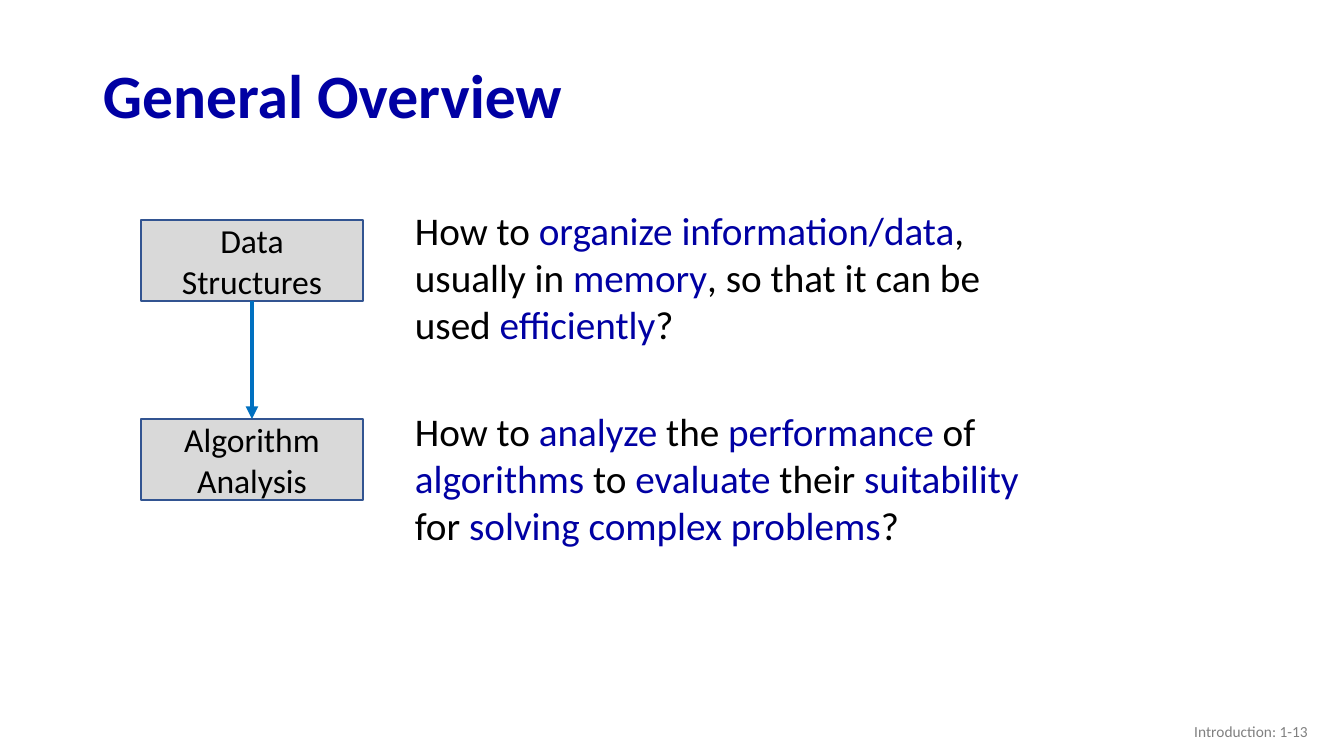
from dataclasses import dataclass

from lxml.etree import SubElement
from pptx import Presentation
from pptx.dml.color import RGBColor
from pptx.enum.shapes import MSO_CONNECTOR as Connector, MSO_SHAPE as Preset
from pptx.enum.text import MSO_ANCHOR as Anchor, MSO_AUTO_SIZE as AutoSize, PP_ALIGN as Align
from pptx.oxml.ns import qn
from pptx.shapes.autoshape import Shape
from pptx.slide import Slide
from pptx.util import Emu, Pt

PAGE_WIDTH, PAGE_HEIGHT = 1344, 756
SCALE = 12192000 / PAGE_WIDTH
FONT = "Calibri"
NAVY, BLACK, GREY = "0000A3", "000000", "808080"
BOX_FILL, BOX_LINE, ARROW_BLUE = "D9D9D9", "325491", "0070C0"


@dataclass(frozen=True)
class Area:
    left: int
    top: int
    width: int
    height: int


@dataclass(frozen=True)
class Topic:
    name: str
    box: Area
    question: Area
    spans: tuple[str, ...]


TOPICS = [
    Topic("Data Structures", Area(141, 220, 222, 81), Area(405, 201, 668, 152),
          ("How to ", "organize information/data", ", usually in ", "memory",
           ", so that it can be used ", "efficiently", "?")),
    Topic("Algorithm Analysis", Area(141, 419, 222, 81), Area(405, 402, 637, 152),
          ("How to ", "analyze", " the ", "performance", " of ", "algorithms", " to ",
           "evaluate", " their ", "suitability", " for ", "solving complex problems", "?")),
]


def px(value: int) -> Emu:
    return Emu(round(value * SCALE))


def color(value: str) -> RGBColor:
    return RGBColor.from_string(value)


def place(area: Area) -> tuple[Emu, Emu, Emu, Emu]:
    return px(area.left), px(area.top), px(area.width), px(area.height)


def format_font(font, size: int, fill: str, bold: bool = False) -> None:
    font.name = FONT
    font.size = Pt(size)
    font.bold = bold
    font.color.rgb = color(fill)


def write_text(shape: Shape, text: str, size: int, fill: str,
               align: Align = Align.LEFT, bold: bool = False) -> None:
    frame = shape.text_frame
    frame.word_wrap = True
    frame.vertical_anchor = Anchor.MIDDLE
    frame.text = text
    para = frame.paragraphs[0]
    para.alignment = align
    format_font(para.runs[0].font, size, fill, bold)


def draw_box(page: Slide, topic: Topic) -> Shape:
    box = page.shapes.add_shape(Preset.RECTANGLE, *place(topic.box))
    box.shadow.inherit = False
    box.fill.solid()
    box.fill.fore_color.rgb = color(BOX_FILL)
    box.line.color.rgb = color(BOX_LINE)
    box.line.width = Pt(1)
    write_text(box, topic.name, 24, BLACK, Align.CENTER)
    return box


def draw_question(page: Slide, topic: Topic) -> None:
    frame = page.shapes.add_textbox(*place(topic.question)).text_frame
    frame.word_wrap = True
    frame.auto_size = AutoSize.SHAPE_TO_FIT_TEXT
    para = frame.paragraphs[0]
    for index, text in enumerate(topic.spans):
        span = para.add_run()
        span.text = text
        format_font(span.font, 28, NAVY if index % 2 else BLACK)


def draw_arrow(page: Slide, start: Shape, end: Shape) -> None:
    arrow = page.shapes.add_connector(Connector.STRAIGHT, 0, 0, 0, 0)
    arrow.begin_connect(start, 2)
    arrow.end_connect(end, 0)
    arrow.line.color.rgb = color(ARROW_BLUE)
    arrow.line.width = Pt(3)
    SubElement(arrow.line._get_or_add_ln(), qn("a:tailEnd"), type="triangle")
    SubElement(arrow._element.spPr, qn("a:effectLst"))


def main() -> None:
    deck = Presentation()
    deck.slide_width, deck.slide_height = px(PAGE_WIDTH), px(PAGE_HEIGHT)
    page = deck.slides.add_slide(deck.slide_layouts[6])

    title = page.shapes.add_textbox(*place(Area(93, 49, 1159, 99)))
    write_text(title, "General Overview", 44, NAVY, bold=True)
    title.text_frame.paragraphs[0].line_spacing = 0.9

    footer = page.shapes.add_textbox(*place(Area(1016, 711, 302, 40)))
    write_text(footer, "Introduction: 1-13", 11, GREY, Align.RIGHT)

    boxes = [draw_box(page, topic) for topic in TOPICS]
    draw_arrow(page, *boxes)
    for topic in TOPICS:
        draw_question(page, topic)

    deck.save("out.pptx")


if __name__ == "__main__":
    main()
